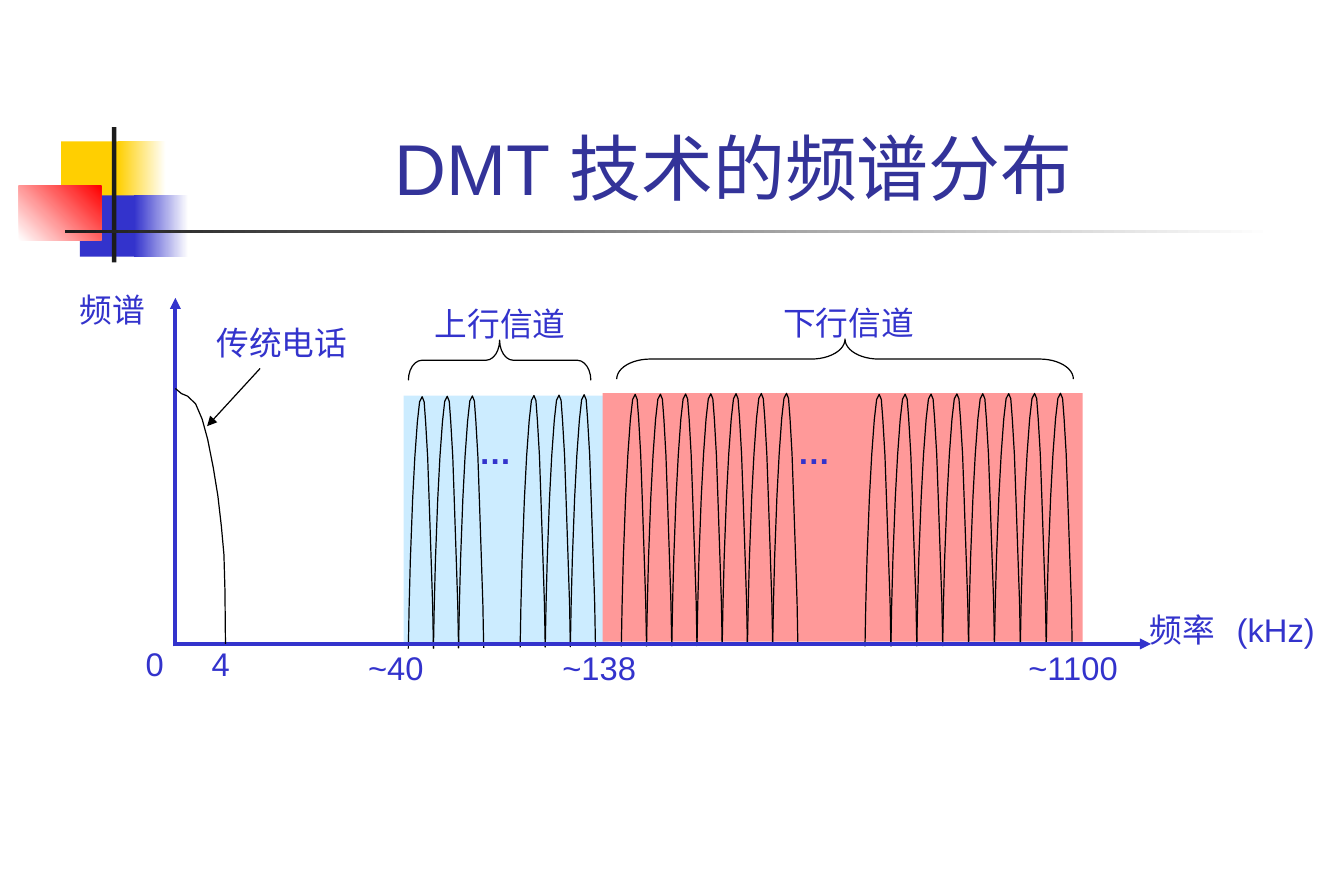
from dataclasses import dataclass

from lxml.etree import SubElement
from pptx import Presentation
from pptx.dml.color import RGBColor
from pptx.enum.shapes import MSO_CONNECTOR, MSO_SHAPE
from pptx.enum.text import MSO_ANCHOR, MSO_AUTO_SIZE, PP_ALIGN
from pptx.oxml.ns import qn
from pptx.util import Inches, Pt

COLORS = {
    "yellow": "FFCF01", "blue": "3333CC", "red": "FF0000", "white": "FFFFFF",
    "ink": "1C1C1C", "title": "333399", "upstream": "CCECFF",
    "downstream": "FF9999", "curve": "000000",
}
FONT = "Arial"
COLUMNS, ROWS = 1142, 750
SLIDE_WIDTH, SLIDE_HEIGHT = Inches(11.42), Inches(7.5)

LOBE = [
    (0, 1), (.03, .84), (.08, .65), (.17, .41), (.26, .24), (.36, .1),
    (.45, .02), (.55, 0), (.63, .02), (.69, .1), (.77, .24), (.83, .41),
    (.91, .65), (.97, .83), (1, 1),
]
PHONE_BAND = [
    (0, 0), (.12, .02), (.24, .03), (.4, .06), (.53, .12), (.64, .2),
    (.75, .31), (.84, .42), (.91, .54), (.96, .65), (.98, .79), (.99, 1),
]


@dataclass
class Region:
    slide: object
    left: int
    top: int
    columns: int
    rows: int

    def x(self, column):
        return round((self.left + column) * SLIDE_WIDTH / COLUMNS)

    def y(self, row):
        return round((self.top + row) * SLIDE_HEIGHT / ROWS)

    def frame(self, column, row, columns, rows):
        left, top = self.x(column), self.y(row)
        return left, top, self.x(column + columns) - left, self.y(row + rows) - top


def rgb(name):
    return RGBColor.from_string(COLORS[name])


def add_block(region, place, *tones, angle=0):
    block = region.slide.shapes.add_shape(MSO_SHAPE.RECTANGLE, *region.frame(*place))
    block.shadow.inherit = False
    block.line.fill.background()
    if len(tones) == 1:
        block.fill.solid()
        block.fill.fore_color.rgb = rgb(tones[0])
        return
    block.fill.gradient()
    block.fill.gradient_angle = angle
    for stop, tone in zip(block.fill.gradient_stops, tones):
        stop.color.rgb = rgb(tone)


def add_label(region, place, text, size=20, color="blue", bold=False,
              align=PP_ALIGN.LEFT, wrap=False):
    label = region.slide.shapes.add_textbox(*region.frame(*place))
    frame = label.text_frame
    frame.word_wrap = wrap
    frame.auto_size = MSO_AUTO_SIZE.NONE if wrap else MSO_AUTO_SIZE.SHAPE_TO_FIT_TEXT
    frame.vertical_anchor = MSO_ANCHOR.BOTTOM if wrap else MSO_ANCHOR.TOP
    paragraph = frame.paragraphs[0]
    paragraph.alignment = align
    run = paragraph.add_run()
    run.text = text
    run.font.name, run.font.size, run.font.bold = FONT, Pt(size), bold
    run.font.color.rgb = rgb(color)


def add_arrow(region, start, end, color, width):
    arrow = region.slide.shapes.add_connector(
        MSO_CONNECTOR.STRAIGHT, region.x(start[0]), region.y(start[1]),
        region.x(end[0]), region.y(end[1]))
    arrow.line.color.rgb = rgb(color)
    arrow.line.width = Pt(width)
    properties = arrow._element.spPr
    SubElement(properties.find(qn("a:ln")), qn("a:tailEnd"), type="triangle")
    SubElement(properties, qn("a:effectLst"))


def outline(shape):
    shape.shadow.inherit = False
    shape.fill.background()
    shape.line.color.rgb = rgb("curve")
    shape.line.width = Pt(.75)


def add_curve(region, place, points):
    left, top, width, height = region.frame(*place)
    start, *rest = [(round(left + x * width), round(top + y * height))
                    for x, y in points]
    builder = region.slide.shapes.build_freeform(*start)
    builder.add_line_segments(rest, close=False)
    outline(builder.convert_to_shape())


def add_brace(region, place, bend):
    left, top, width, height = region.frame(*place)
    brace = region.slide.shapes.add_shape(
        MSO_SHAPE.LEFT_BRACE, left + (width - height) // 2,
        top + (height - width) // 2, height, width)
    brace.rotation = 90
    brace.adjustments[0] = bend
    outline(brace)


def build_heading(region):
    add_block(region, (36, 12, 55, 52), "yellow")
    add_block(region, (84, 12, 41, 52), "yellow", "white")
    add_block(region, (52, 58, 53, 52), "blue")
    add_block(region, (98, 58, 46, 52), "blue", "white")
    add_block(region, (0, 50, 70, 46), "white", "red", angle=45)
    add_block(region, (79, 0, 4, 115), "ink")
    add_block(region, (39, 87, 1027, 3), "ink", "white")
    add_label(region, (128, -85, 973, 160), "DMT 技术的频谱分布 ", size=44,
              color="title", align=PP_ALIGN.CENTER, wrap=True)


def build_channel(region, name, tone, label_column, brace, bend, dots, lobe_groups):
    add_block(region, (0, 0, region.columns, region.rows), tone)
    for start, end, count, top in lobe_groups:
        pitch = (end - start) / count
        for index in range(count):
            rise = index / count
            add_curve(region, (start + index * pitch, top - rise, pitch, 214), LOBE)
    add_brace(region, brace, bend)
    add_label(region, (label_column, brace[1] - 36, 132, 44), name,
              align=PP_ALIGN.CENTER)
    add_label(region, (*dots, 48, 44), "…", bold=True)


def build_axes(region):
    origin = region.rows
    add_arrow(region, (0, origin + 2), (0, 0), "blue", 2.25)
    add_arrow(region, (0, origin), (region.columns, origin), "blue", 2.25)
    add_curve(region, (0, 77, 43, 217), PHONE_BAND)
    add_arrow(region, (72, 60), (27, 109), "curve", .75)
    for text, column, row, columns in (
        ("频谱", -91, -12, 76), ("传统电话", 25, 16, 132),
        ("频率", 818, 260, 76), ("(kHz)", 892, 260, 87),
        ("0", -35, 289, 36), ("4", 21, 289, 36), ("~40", 154, 292, 68),
        ("~138", 319, 292, 83), ("~1100", 715, 292, 97),
    ):
        add_label(region, (column, row, columns, 44), text)


def main():
    deck = Presentation()
    deck.slide_width, deck.slide_height = SLIDE_WIDTH, SLIDE_HEIGHT
    slide = deck.slides.add_slide(deck.slide_layouts[6])
    build_heading(Region(slide, 16, 108, 1066, 115))
    build_channel(
        Region(slide, 343, 336, 174, 211), "上行信道", "upstream", 16,
        (4, -47, 155, 34), .34, (54, 26),
        [(4, 68, 3, 1), (99, 163, 3, 0)])
    build_channel(
        Region(slide, 512, 334, 408, 211), "下行信道", "downstream", 143,
        (12, -46, 388, 34), .84, (156, 28),
        [(16, 166, 7, 1), (223, 399, 8, 1)])
    build_axes(Region(slide, 149, 253, 829, 294))
    deck.save("out.pptx")


if __name__ == "__main__":
    main()
